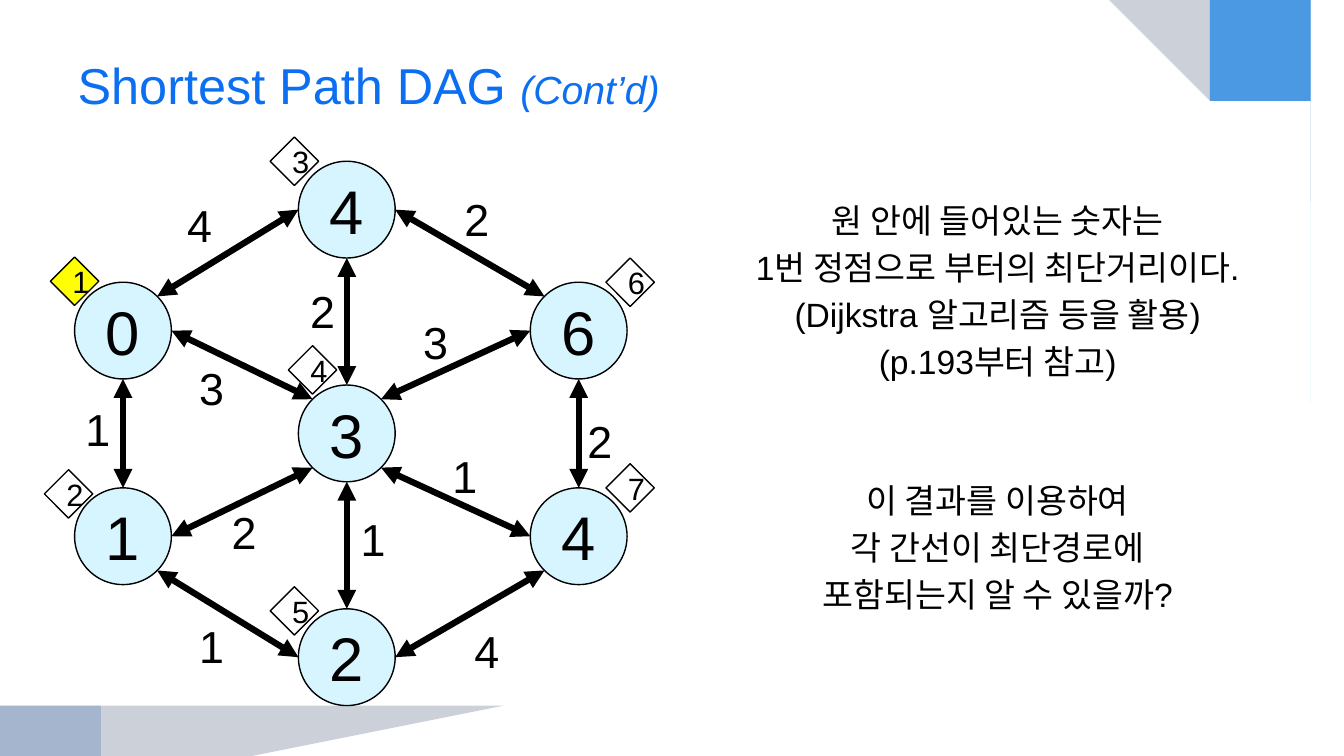
from math import cos, radians, sin

from lxml.etree import SubElement
from pptx import Presentation
from pptx.dml.color import RGBColor
from pptx.enum.shapes import MSO_CONNECTOR, MSO_SHAPE
from pptx.enum.text import MSO_ANCHOR, PP_ALIGN
from pptx.oxml.ns import qn
from pptx.util import Inches, Pt

FONT = "Arial"
BLACK = "000000"
NODE_SIZE = 0.96
BADGE_SIZE = 0.48

# Anchor directions on a node, in degrees clockwise from east
E, SE, S, SW, W, NW, N, NE = range(0, 360, 45)

# name: (left, top, distance from the source)
NODES = {
    "source": (0.74, 2.8, "0"),
    "lower left": (0.74, 4.84, "1"),
    "top": (2.96, 1.6, "4"),
    "middle": (2.96, 3.82, "3"),
    "bottom": (2.96, 6.04, "2"),
    "upper right": (5.26, 2.8, "6"),
    "lower right": (5.26, 4.84, "4"),
}

# start node, its anchor, end node, its anchor, weight, weight left, weight top
EDGES = [
    ("source", NE, "top", W, "4", 1.68, 1.91),
    ("source", E, "middle", NW, "3", 1.8, 3.53),
    ("source", S, "lower left", N, "1", 0.67, 3.94),
    ("lower left", SE, "bottom", W, "1", 1.8, 6.09),
    ("lower left", E, "middle", SW, "2", 2.12, 4.96),
    ("bottom", N, "middle", S, "1", 3.4, 5.03),
    ("middle", N, "top", S, "2", 2.9, 2.77),
    ("top", E, "upper right", NW, "2", 4.43, 1.85),
    ("middle", NE, "upper right", W, "3", 4.02, 3.07),
    ("middle", SE, "lower right", W, "1", 4.31, 4.4),
    ("bottom", E, "lower right", SW, "4", 4.53, 6.14),
    ("lower right", N, "upper right", S, "2", 5.65, 4.06),
]

# vertex number, left, top, fill
BADGES = [
    ("1", 0.5, 2.55, "FFFF00"),
    ("3", 2.68, 1.36, "FFFFFF"),
    ("6", 6.01, 2.56, "FFFFFF"),
    ("7", 6.01, 4.6, "FFFFFF"),
    ("5", 2.68, 5.82, "FFFFFF"),
    ("2", 0.44, 4.66, "FFFFFF"),
    ("4", 2.86, 3.43, "FFFFFF"),
]

# Corner, fill, opacity in percent, points along the curved side
SWOOSHES = [
    ((13.33, 0), "00B1E9", 45,
     [(11.89, 0), (12.1, 0.14), (12.31, 0.35), (12.53, 0.64), (12.76, 1.07),
      (12.94, 1.54), (13.1, 2.14), (13.21, 2.74), (13.3, 3.44), (13.33, 4.08)]),
    ((13.33, 0), "021741", 20,
     [(13.33, 2.15), (13.22, 1.9), (13.06, 1.65), (12.83, 1.38), (12.52, 1.1),
      (12.1, 0.81), (11.55, 0.54), (10.88, 0.3), (10.06, 0.12), (8.89, 0)]),
    ((13.33, 0), "247FF4", 49,
     [(13.33, 1.55), (13.23, 1.38), (13, 1.13), (12.69, 0.9), (12.25, 0.65),
      (11.66, 0.42), (10.88, 0.22), (9.91, 0.07), (8.89, 0)]),
    ((0, 7.5), "021741", 20,
     [(0, 6.08), (0.12, 6.24), (0.34, 6.44), (0.66, 6.65), (1.14, 6.87),
      (1.78, 7.08), (2.62, 7.27), (3.69, 7.42), (5, 7.5)]),
    ((0, 7.5), "084AA1", 20,
     [(1.48, 7.5), (1.31, 7.43), (1.07, 7.28), (0.82, 7.04), (0.59, 6.74),
      (0.37, 6.33), (0.21, 5.89), (0.08, 5.35), (0, 4.58)]),
]

EXPLANATION = [
    "원 안에 들어있는 숫자는",
    "1번 정점으로 부터의 최단거리이다.",
    "(Dijkstra 알고리즘 등을 활용)",
    "(p.193부터 참고)",
]
QUESTION = ["이 결과를 이용하여", "각 간선이 최단경로에", "포함되는지 알 수 있을까?"]


def color(hex_string):
    return RGBColor.from_string(hex_string)


def write(paragraph, text, size, fill=BLACK, italic=False,
          align=PP_ALIGN.CENTER, before=0):
    run = paragraph.add_run()
    run.text = text
    run.font.name = FONT
    run.font.size = Pt(size)
    run.font.italic = italic
    run.font.color.rgb = color(fill)
    paragraph.alignment = align
    paragraph.space_before = Pt(before)


def smooth_curve(knots, steps=6):
    """Return points of a Catmull-Rom curve through the knots."""
    padded = [knots[0], *knots, knots[-1]]
    points = [knots[0]]
    for a, b, c, d in zip(padded, padded[1:], padded[2:], padded[3:]):
        for step in range(1, steps + 1):
            t = step / steps
            points.append(tuple(
                q + t / 2 * (r - p + t * (2 * p - 5 * q + 4 * r - s
                                          + t * (3 * (q - r) + s - p)))
                for p, q, r, s in zip(a, b, c, d)))
    return points


def add_swoosh(slide, corner, fill, opacity, knots):
    builder = slide.shapes.build_freeform(*corner, scale=Inches(1))
    builder.add_line_segments(smooth_curve(knots), close=True)
    shape = builder.convert_to_shape()
    shape.shadow.inherit = False
    shape.line.fill.background()
    shape.fill.solid()
    shape.fill.fore_color.rgb = color(fill)
    solid_color = shape.element.spPr.find(".//" + qn("a:srgbClr"))
    SubElement(solid_color, qn("a:alpha"), val=str(opacity * 1000))
    slide.shapes.title.element.addprevious(shape.element)


def add_title(slide):
    title = slide.shapes.title
    title.left, title.top = Inches(0.67), Inches(0.33)
    title.width, title.height = Inches(12), Inches(1.01)
    title.text_frame.vertical_anchor = MSO_ANCHOR.MIDDLE
    paragraph = title.text_frame.paragraphs[0]
    blue = "0C6FF2"
    write(paragraph, "Shortest Path DAG ", 36, fill=blue, align=PP_ALIGN.LEFT)
    write(paragraph, "(Cont’d)", 28, fill=blue, italic=True, align=PP_ALIGN.LEFT)


def add_marker(shapes, preset, left, top, side, fill, text, size):
    """Add an outlined shape that holds one centred number."""
    shape = shapes.add_shape(preset, Inches(left), Inches(top),
                             Inches(side), Inches(side))
    shape.shadow.inherit = False
    shape.fill.solid()
    shape.fill.fore_color.rgb = color(fill)
    shape.line.color.rgb = color(BLACK)
    shape.line.width = Pt(1)
    shape.text_frame.word_wrap = True
    shape.text_frame.vertical_anchor = MSO_ANCHOR.MIDDLE
    write(shape.text_frame.paragraphs[0], text, size)


def node_anchor(name, angle):
    left, top, _ = NODES[name]
    radius = NODE_SIZE / 2
    return (Inches(left + radius + radius * cos(radians(angle))),
            Inches(top + radius + radius * sin(radians(angle))))


def add_arrow(slide, start, end):
    connector = slide.shapes.add_connector(MSO_CONNECTOR.STRAIGHT, *start, *end)
    connector.line.color.rgb = color(BLACK)
    connector.line.width = Pt(4.5)
    properties = connector.element.spPr
    line = properties.find(qn("a:ln"))
    for tag in ("a:headEnd", "a:tailEnd"):
        SubElement(line, qn(tag), type="triangle")
    SubElement(properties, qn("a:effectLst"))


def add_text(slide, left, top, width, height, lines, size):
    """Add a text box from (text, space before) pairs."""
    box = slide.shapes.add_textbox(Inches(left), Inches(top),
                                   Inches(width), Inches(height))
    frame = box.text_frame
    frame.word_wrap = True
    for index, (text, before) in enumerate(lines):
        paragraph = frame.add_paragraph() if index else frame.paragraphs[0]
        write(paragraph, text, size, before=before)


def main():
    presentation = Presentation()
    presentation.slide_width, presentation.slide_height = Inches(13.33), Inches(7.5)
    slide = presentation.slides.add_slide(presentation.slide_layouts[5])
    for swoosh in SWOOSHES:
        add_swoosh(slide, *swoosh)
    add_title(slide)
    for left, top, distance in NODES.values():
        add_marker(slide.shapes, MSO_SHAPE.OVAL, left, top, NODE_SIZE,
                   "D7F5FF", distance, 44)
    for start, start_angle, end, end_angle, weight, left, top in EDGES:
        add_arrow(slide, node_anchor(start, start_angle), node_anchor(end, end_angle))
        add_text(slide, left, top, 0.6, 0.7, [(weight, 6.4)], 32)
    lines = [(text, 4.8) for text in EXPLANATION + QUESTION]
    lines[len(EXPLANATION)] = (QUESTION[0], 71)
    add_text(slide, 7.13, 1.93, 5.53, 4.77, lines, 24)
    badges = slide.shapes.add_group_shape()
    for number, left, top, fill in BADGES:
        add_marker(badges.shapes, MSO_SHAPE.DIAMOND, left, top, BADGE_SIZE,
                   fill, number, 22)
    presentation.save("out.pptx")


if __name__ == "__main__":
    main()
